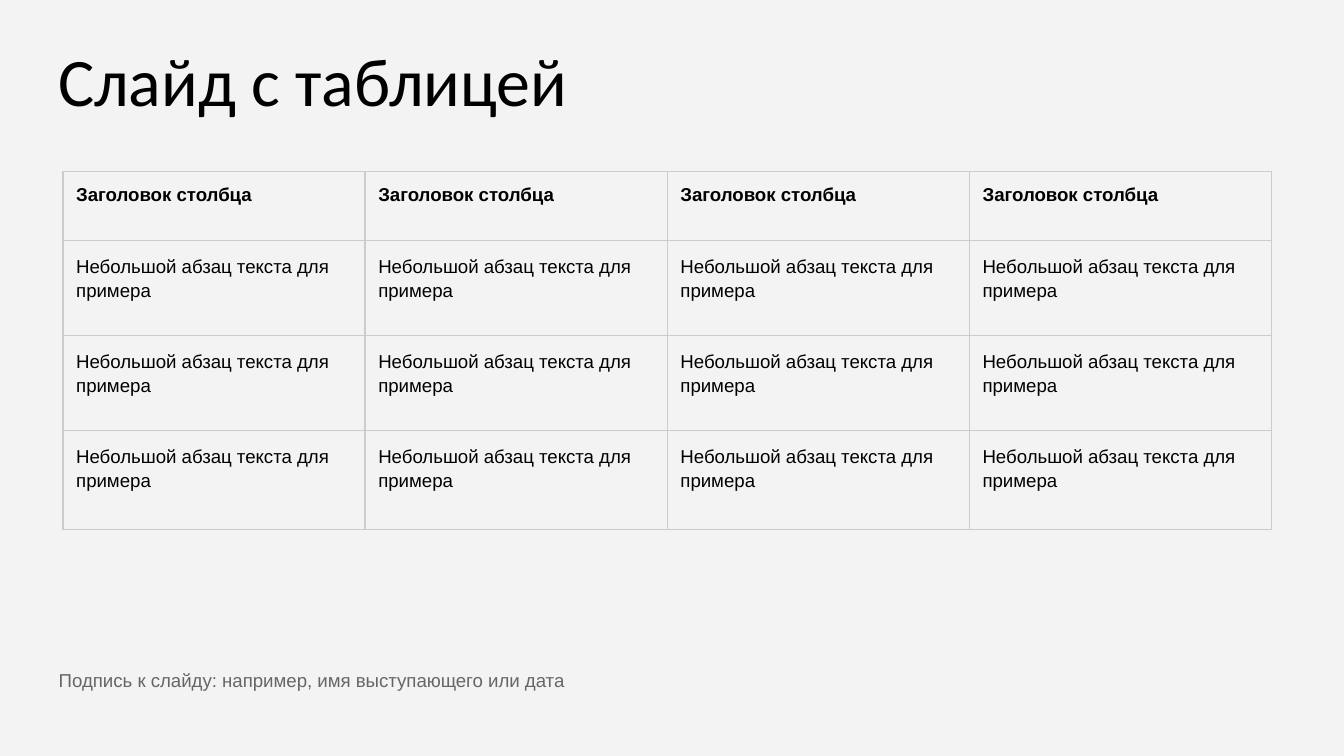
from dataclasses import dataclass

import pptx
import pptx.dml.color
import pptx.enum.text
import pptx.oxml
import pptx.oxml.ns
import pptx.util
from pptx.util import Cm

INSET = Cm(0.25)
COLUMN_COUNT = 4
COLUMN_WIDTH = Cm(5.71)


@dataclass(frozen=True)
class TextStyle:
    font: str
    size: float
    color: str
    bold: bool = False
    line_spacing: float = 1.0
    space_after: float = 0


@dataclass(frozen=True)
class TableRow:
    text: str
    height: float
    style: TextStyle


TITLE = TextStyle("Calibri", 36.4, "000000", line_spacing=0.9)
CAPTION = TextStyle("Arial", 10, "666666", line_spacing=1.15, space_after=12)
HEADING = TextStyle("Arial", 10, "000000", bold=True)
BODY = TextStyle("Arial", 10, "000000", line_spacing=1.15)

SAMPLE = "Небольшой абзац текста для примера"
ROWS = [
    TableRow("Заголовок столбца", 1.3, HEADING),
    TableRow(SAMPLE, 1.8, BODY),
    TableRow(SAMPLE, 1.8, BODY),
    TableRow(SAMPLE, 1.87, BODY),
]


def rgb(value: str) -> pptx.dml.color.RGBColor:
    return pptx.dml.color.RGBColor.from_string(value)


def write_text(frame, text: str, style: TextStyle) -> None:
    frame.text = text
    paragraph = frame.paragraphs[0]
    properties = paragraph._p.get_or_add_pPr()
    properties.set("marL", "0")
    properties.set("indent", "0")
    pptx.oxml.ns.qn("a:buNone")
    properties.append(pptx.oxml.parse_xml(
        f'<a:buNone {pptx.oxml.ns.nsdecls("a")}/>'))
    paragraph.alignment = pptx.enum.text.PP_ALIGN.LEFT
    paragraph.line_spacing = style.line_spacing
    paragraph.space_before = pptx.util.Pt(0)
    paragraph.space_after = pptx.util.Pt(style.space_after)
    paragraph.font.name = style.font
    paragraph.font.size = pptx.util.Pt(style.size)
    paragraph.font.bold = style.bold
    paragraph.font.color.rgb = rgb(style.color)


def fill_placeholder(box, left: float, top: float, width: float,
                     height: float, text: str, style: TextStyle) -> None:
    box.left, box.top = Cm(left), Cm(top)
    box.width, box.height = Cm(width), Cm(height)
    frame = box.text_frame
    frame.word_wrap = True
    frame.auto_size = pptx.enum.text.MSO_AUTO_SIZE.NONE
    frame.vertical_anchor = pptx.enum.text.MSO_ANCHOR.TOP
    frame.margin_left = frame.margin_right = INSET
    frame.margin_top = frame.margin_bottom = INSET
    write_text(frame, text, style)


def draw_borders(cell, color: str, width: float) -> None:
    properties = cell._tc.get_or_add_tcPr()
    for index, side in enumerate(("lnL", "lnR", "lnT", "lnB")):
        properties.insert(index, pptx.oxml.parse_xml(
            f'<a:{side} {pptx.oxml.ns.nsdecls("a")} w="{pptx.util.Pt(width)}">'
            f'<a:solidFill><a:srgbClr val="{color}"/></a:solidFill>'
            f'</a:{side}>'))


def add_sample_table(page, left: float, top: float) -> None:
    height = Cm(sum(row.height for row in ROWS))
    table = page.shapes.add_table(
        len(ROWS), COLUMN_COUNT, Cm(left), Cm(top),
        COLUMN_WIDTH * COLUMN_COUNT, height).table
    table.first_row = False
    table.horz_banding = False
    for column in table.columns:
        column.width = COLUMN_WIDTH
    for table_row, row in zip(table.rows, ROWS):
        table_row.height = Cm(row.height)
        for cell in table_row.cells:
            cell.fill.background()
            cell.margin_left = cell.margin_right = INSET
            cell.margin_top = cell.margin_bottom = INSET
            write_text(cell.text_frame, row.text, row.style)
            draw_borders(cell, "CCCCCC", 0.75)


def main() -> None:
    deck = pptx.Presentation()
    deck.slide_width, deck.slide_height = Cm(25.4), Cm(14.29)
    page = deck.slides.add_slide(deck.slide_layouts[1])
    page.background.fill.solid()
    page.background.fill.fore_color.rgb = rgb("F3F3F3")
    fill_placeholder(page.shapes.title, 0.85, 0.66, 23.42, 1.88,
                     "Слайд с таблицей", TITLE)
    fill_placeholder(page.placeholders[1], 0.86, 12.32, 12.88, 1.07,
                     "Подпись к слайду: например, имя выступающего или дата",
                     CAPTION)
    add_sample_table(page, 1.19, 3.24)
    deck.save("out.pptx")


if __name__ == "__main__":
    main()
